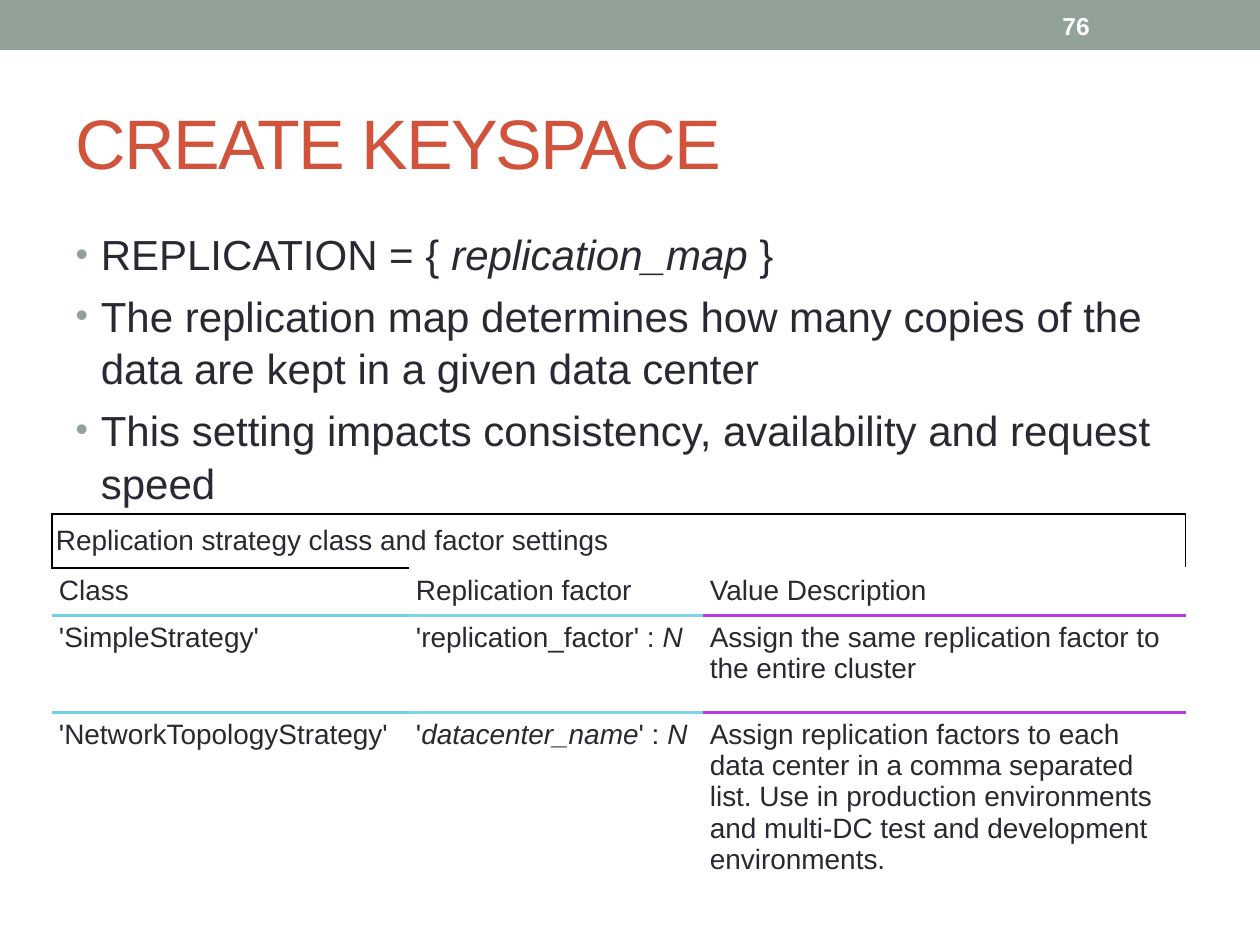
"""Build the CREATE KEYSPACE slide with its replication strategy table."""
from lxml import etree
from pptx import Presentation
from pptx.dml.color import RGBColor
from pptx.enum.shapes import MSO_SHAPE
from pptx.enum.text import MSO_ANCHOR, MSO_AUTO_SIZE, PP_ALIGN
from pptx.oxml.ns import qn
from pptx.util import Pt

RECT = MSO_SHAPE.RECTANGLE
MIDDLE, TOP = MSO_ANCHOR.MIDDLE, MSO_ANCHOR.TOP
LEFT = PP_ALIGN.LEFT
NO_FIT = MSO_AUTO_SIZE.NONE
PX = 914400 / 126
C = {"sage": "93A299", "red": "D2533C", "ink": "292934", "white": "FFFFFF",
     "black": "000000", "sky": "70D2E6", "aqua": "80D2E6", "violet": "B03DE6"}


def px(*lengths):
    return [round(n * PX) for n in lengths]


def write(p, text, size, color="ink", bold=False):
    p.alignment = LEFT
    for i, part in enumerate(text.split("*")):
        if part:
            r = p.add_run()
            r.text = part
            fmt = {"name": "Arial", "size": Pt(size), "bold": bold, "italic": i % 2 == 1}
            for key, value in fmt.items():
                setattr(r.font, key, value)
            r.font.color.rgb = RGBColor.from_string(C[color])


prs = Presentation()
prs.slide_width, prs.slide_height = px(1260, 945)
s = prs.slides.add_slide(prs.slide_layouts[1])

bar = s.shapes.add_shape(RECT, *px(0, 0, 1260, 50))
bar.shadow.inherit = False
bar.fill.solid()
bar.fill.fore_color.rgb = RGBColor.from_string(C["sage"])
bar.line.fill.background()

title, body = s.placeholders
title.left, title.top, title.width, title.height = px(63, 73, 1134, 136)
body.left, body.top, body.width, body.height = px(63, 220, 1134, 672)
for sp, anchor in ((title, MIDDLE), (body, TOP)):
    sp.text_frame.auto_size = NO_FIT
    sp.text_frame.vertical_anchor = anchor

p = title.text_frame.paragraphs[0]
write(p, "CREATE KEYSPACE", 40, "red")
p.runs[0].font._element.set("spc", "-100")

bullets = [
    "REPLICATION = { *replication_map* }",
    "The replication map determines how many copies of the data are kept in a given data center",
    "This setting impacts consistency, availability and request speed",
]
tf = body.text_frame
for i, text in enumerate(bullets):
    p = tf.add_paragraph() if i else tf.paragraphs[0]
    write(p, text, 24)
    p.line_spacing = 1.05
    pPr = p._p.get_or_add_pPr()
    pPr.set("marL", "182880")
    pPr.set("indent", "-182880")
    clr = etree.SubElement(pPr, qn("a:buClr"))
    etree.SubElement(clr, qn("a:srgbClr"), val=C["sage"])
    etree.SubElement(pPr, qn("a:buSzPct"), val="85000")
    etree.SubElement(pPr, qn("a:buChar"), char="•")

number = s.shapes.add_textbox(*px(1050, 3, 147, 45))
tf = number.text_frame
tf.word_wrap = True
tf.vertical_anchor = MIDDLE
write(tf.paragraphs[0], "76", 14, "white", True)

rows = [
    ["Replication strategy class and factor settings", "", ""],
    ["Class", "Replication factor", "Value Description"],
    ["'SimpleStrategy'", "'replication_factor' : *N*",
     "Assign the same replication factor to the entire cluster"],
    ["'NetworkTopologyStrategy'", "'*datacenter_name*' : *N*",
     "Assign replication factors to each data center in a comma separated list. "
     "Use in production environments and multi-DC test and development environments."],
]
borders = {(0, 0): [(side, "black", 0.75) for side in "LRTB"],
           (1, 1): [("T", "white", 0.75)], (1, 2): [("T", "white", 0.75)]}
for col, color in enumerate(("sky", "aqua", "violet")):
    borders.setdefault((1, col), []).append(("B", color, 1.5))
    borders[2, col] = [("T", color, 1.5)]

frame = s.shapes.add_table(4, 3, *px(52, 514, 1134, 395))
table = frame.table
table.first_row = table.horz_banding = False
table._tbl.tblPr.find(qn("a:tableStyleId")).text = "{2D5ABB26-0587-4C30-8999-92F81FD0307C}"
for column, width in zip(table.columns, px(357, 294, 483)):
    column.width = width
for row, height in zip(table.rows, px(54, 45, 97, 199)):
    row.height = height
table.cell(0, 0).merge(table.cell(0, 2))

for i, texts in enumerate(rows):
    for j, text in enumerate(texts):
        cell = table.cell(i, j)
        inset = px(7 if i else 4)[0]
        for side in ("left", "right", "top", "bottom"):
            setattr(cell, f"margin_{side}", inset)
        cell.vertical_anchor = TOP if i else MIDDLE
        write(cell.text_frame.paragraphs[0], text, 16)
        tcPr = cell._tc.get_or_add_tcPr()
        for side, color, width in borders.get((i, j), []):
            ln = etree.SubElement(tcPr, qn(f"a:ln{side}"), w=str(Pt(width)))
            fill = etree.SubElement(ln, qn("a:solidFill"))
            etree.SubElement(fill, qn("a:srgbClr"), val=C[color])
        cell.fill.solid()
        cell.fill.fore_color.rgb = RGBColor.from_string(C["white"])

prs.save("out.pptx")
